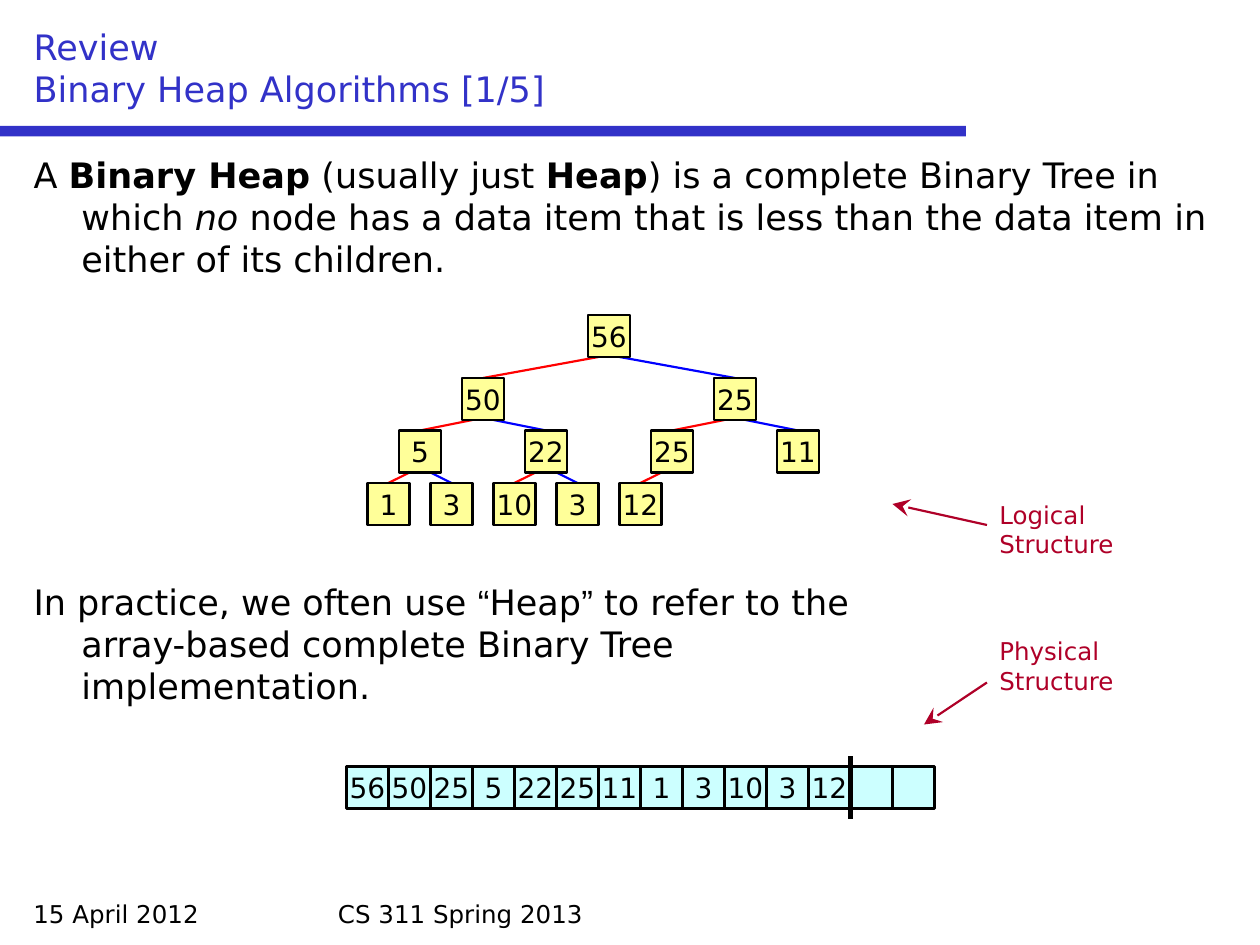
"""Builds a review slide on binary heaps, with the tree above its array form."""
from lxml import etree
from pptx import Presentation
from pptx import util as u
from pptx.dml.color import RGBColor
from pptx.enum import shapes, text
from pptx.oxml import ns

BLUE, BLACK, CRIMSON = "3232C8", "000000", "AF0028"
LEFT_EDGE, RIGHT_EDGE = "FF0000", "0000FF"
CELL = 4
HEAP = [56, 50, 25, 5, 22, 25, 11, 1, 3, 10, 3, 12]
CAPACITY = 14
ARRAY_LEFT, ARRAY_TOP = 33, 73
LEVEL_TOPS = [30, 36, 41, 46]

deck = Presentation()
deck.slide_width, deck.slide_height = u.Inches(10), u.Inches(7.5)
unit = deck.slide_width / 120
slide = deck.slides.add_slide(deck.slide_layouts[1])


def grid(*cells):
    return [u.Emu(round(cell * unit)) for cell in cells]


def paint(target, color, **values):
    fill = target if hasattr(target, "solid") else target.fill
    fill.solid()
    fill.fore_color.rgb = RGBColor.from_string(color)
    for name, value in values.items():
        setattr(target, name, value)


title, body = slide.placeholders
for holder, area, anchor in [
    (title, (2, 2, 116, 9), text.MSO_ANCHOR.BOTTOM),
    (body, (2, 14, 116, 70), text.MSO_ANCHOR.TOP),
]:
    holder.left, holder.top, holder.width, holder.height = grid(*area)
    frame_format = {"vertical_anchor": anchor, "word_wrap": True, "auto_size": text.MSO_AUTO_SIZE.NONE}
    for name, value in frame_format.items():
        setattr(holder.text_frame, name, value)

title.text_frame.text = "Review\vBinary Heap Algorithms [1/5]"
heading = title.text_frame.paragraphs[0]
heading.alignment = text.PP_ALIGN.LEFT
paint(heading.font, BLUE, name="DejaVu Sans", size=u.Pt(20))
for run in heading.runs:
    paint(run.font, BLUE, name="DejaVu Sans", size=u.Pt(20))

definition = [
    ("A ", {}), ("Binary Heap", {"bold": True}), (" (usually just ", {}), ("Heap", {"bold": True}),
    (") is a complete Binary Tree in which ", {}), ("no", {"italic": True}),
    (" node has a data item that is less than the data item in either of its children.", {}),
]
practice = [
    ("In practice, we often use ", {}), ("“", {"name": "Arial"}), ("Heap", {}), ("”", {"name": "Arial"}),
    (" to refer to the", {}), ("\n", {}), ("array-based complete Binary Tree", {}), ("\n", {}),
    ("implementation.", {}),
]
for index, (statement, gap) in enumerate([(definition, 0), (practice, 172)]):
    paragraph = body.text_frame.paragraphs[0] if index == 0 else body.text_frame.add_paragraph()
    paragraph.space_before = u.Pt(gap)
    layout = paragraph._p.get_or_add_pPr()
    layout.set("marL", str(u.Inches(0.38)))
    layout.set("indent", str(u.Inches(-0.38)))
    etree.SubElement(layout, ns.qn("a:buNone"))
    paint(paragraph.font, BLACK, name="DejaVu Sans", size=u.Pt(20))
    for words, emphasis in statement:
        if words == "\n":
            paragraph.add_line_break()
            continue
        run = paragraph.add_run()
        run.text = words
        paint(run.font, BLACK, **{"name": "DejaVu Sans", "size": u.Pt(20), **emphasis})

bar = slide.shapes.add_shape(shapes.MSO_SHAPE.RECTANGLE, *grid(0, 12, 92, 1))
bar.shadow.inherit = False
bar.line.fill.background()
paint(bar, BLUE)

for words, area, color in [
    ("15 April 2012", (2, 85, 28, 4), BLACK),
    ("CS 311 Spring 2013", (31, 85, 58, 4), BLACK),
    ("Logical Structure", (94, 47, 17, 7), CRIMSON),
    ("Physical Structure", (94, 60, 17, 7), CRIMSON),
]:
    caption = slide.shapes.add_textbox(*grid(*area)).text_frame
    caption.word_wrap = True
    caption.text = words
    paint(caption.paragraphs[0].runs[0].font, color, name="DejaVu Sans", size=u.Pt(14))

end_mark = ARRAY_LEFT + CELL * len(HEAP)
links = [
    ((end_mark, ARRAY_TOP - 1), (end_mark, ARRAY_TOP + 5), BLACK, 3, False),
    ((94, 50), (85, 48), CRIMSON, 1.25, True),
    ((94, 65), (88, 69), CRIMSON, 1.25, True),
]
centers = [58]
nodes = []
for index, value in enumerate(HEAP):
    level = (index + 1).bit_length() - 1
    top = LEVEL_TOPS[level]
    if index:
        side = 1 if index % 2 == 0 else -1
        parent = centers[(index - 1) // 2]
        centers.append(parent + side * 24 // 2 ** level)
        start = (parent + side, LEVEL_TOPS[level - 1] + CELL)
        color = RIGHT_EDGE if side > 0 else LEFT_EDGE
        links.append((start, (centers[index], top), color, 1.25, False))
    nodes.append((centers[index] - CELL / 2, top, value, "FFFF99"))

slots = [
    (ARRAY_LEFT + CELL * index, ARRAY_TOP, value, "CCFFFF")
    for index, value in enumerate(HEAP + [""] * (CAPACITY - len(HEAP)))
]

for start, end, color, weight, pointed in links:
    link = slide.shapes.add_connector(shapes.MSO_CONNECTOR.STRAIGHT, *grid(*start, *end))
    paint(link.line, color, width=u.Pt(weight))
    if pointed:
        etree.SubElement(link.line._get_or_add_ln(), ns.qn("a:tailEnd"), type="stealth", w="lg", len="lg")
    etree.SubElement(link._element.spPr, ns.qn("a:effectLst"))

end_line = slide.shapes[-len(links)]._element
for left, top, value, color in slots + nodes:
    box = slide.shapes.add_shape(shapes.MSO_SHAPE.RECTANGLE, *grid(left, top, CELL, CELL))
    box.shadow.inherit = False
    paint(box, color)
    paint(box.line, BLACK, width=u.Pt(1.25))
    if value != "":
        label = box.text_frame
        label.word_wrap = False
        label.vertical_anchor = text.MSO_ANCHOR.MIDDLE
        label.text = str(value)
        label.paragraphs[0].alignment = text.PP_ALIGN.CENTER
        paint(label.paragraphs[0].runs[0].font, BLACK, name="DejaVu Sans", size=u.Pt(16))
slide.shapes._spTree.append(end_line)

deck.save("out.pptx")
